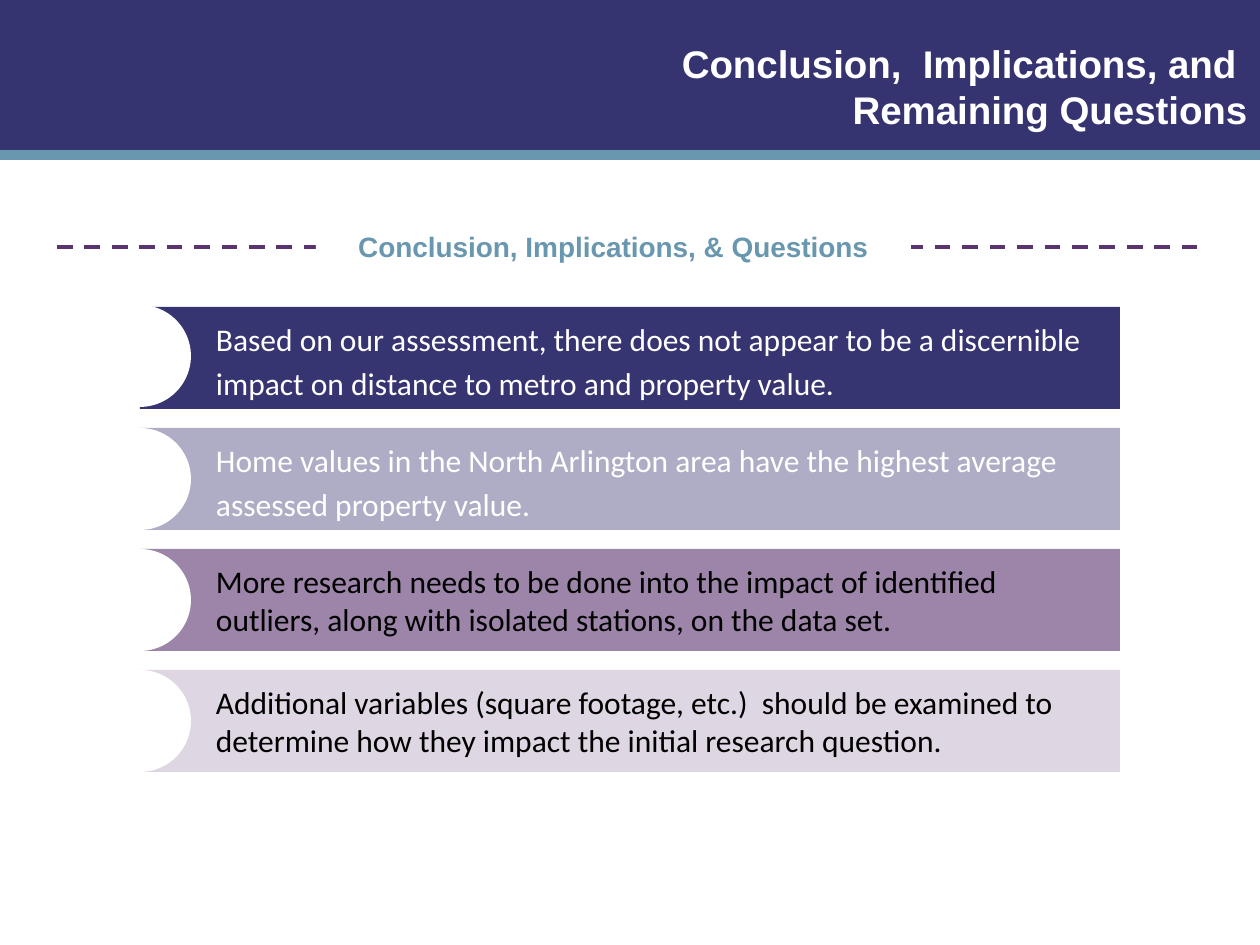
from lxml import etree
from pptx import Presentation
from pptx.dml.color import RGBColor
from pptx.enum.dml import MSO_LINE
from pptx.enum.shapes import MSO_CONNECTOR, MSO_SHAPE
from pptx.enum.text import MSO_ANCHOR, PP_ALIGN
from pptx.oxml.ns import qn
from pptx.util import Emu, Pt

RECTANGLE, OVAL = MSO_SHAPE.RECTANGLE, MSO_SHAPE.OVAL
STRAIGHT, DASH = MSO_CONNECTOR.STRAIGHT, MSO_LINE.DASH
TOP, MIDDLE = MSO_ANCHOR.TOP, MSO_ANCHOR.MIDDLE
LEFT, CENTER, RIGHT = PP_ALIGN.LEFT, PP_ALIGN.CENTER, PP_ALIGN.RIGHT

PX_PER_INCH = 126
COLORS = {
    "navy": "363371",
    "indigo": "373472",
    "plum": "5A3471",
    "dash": "593470",
    "teal": "6997AF",
    "white": "FFFFFF",
    "black": "000000",
}
TITLE = ["Conclusion,  Implications, and ", "Remaining Questions"]
SUBTITLE = "Conclusion, Implications, & Questions"
# text, fill, opacity in percent, text colour, line spacing
FINDINGS = [
    ("Based on our assessment, there does not appear to be a discernible "
     "impact on distance to metro and property value.",
     "indigo", 100, "white", 1.15),
    ("Home values in the North Arlington area have the highest average "
     "assessed property value.",
     "indigo", 40, "white", 1.15),
    ("More research needs to be done into the impact of identified outliers, "
     "along with isolated stations, on the data set.",
     "plum", 60, "black", 1.0),
    ("Additional variables (square footage, etc.)  should be examined to "
     "determine how they impact the initial research question.",
     "plum", 20, "black", 1.0),
]


def px(length):
    return Emu(round(length * 914400 / PX_PER_INCH))


def rgb(name):
    return RGBColor.from_string(COLORS[name])


def add_filled(page, kind, box, color, opacity=100):
    shape = page.shapes.add_shape(kind, *map(px, box))
    shape.shadow.inherit = False
    shape.fill.solid()
    shape.fill.fore_color.rgb = rgb(color)
    shape.line.fill.background()
    if opacity < 100:
        fill_color = shape.fill._xPr.find(".//" + qn("a:srgbClr"))
        etree.SubElement(fill_color, qn("a:alpha"), val=str(opacity * 1000))
    return shape


def add_rule(page, left, right, y, color, width, dash=None):
    rule = page.shapes.add_connector(STRAIGHT, px(left), px(y), px(right), px(y))
    rule.line.color.rgb = rgb(color)
    rule.line.width = Pt(width)
    if dash is not None:
        rule.line.dash_style = dash
    etree.SubElement(rule._element.spPr, qn("a:effectLst"))


def write(shape, lines, font, size, color, align=LEFT, anchor=TOP,
          bold=False, spacing=1.0):
    frame = shape.text_frame
    frame.word_wrap = True
    frame.vertical_anchor = anchor
    frame.text = "\n".join(lines)
    for para in frame.paragraphs:
        para.alignment = align
        para.line_spacing = spacing
        para.font.name = font
        para.font.size = Pt(size)
        para.font.bold = bold
        para.font.color.rgb = rgb(color)


def add_header(page, left, top, width, height):
    add_filled(page, RECTANGLE, (left, top, width, height), "navy")
    title_left = left + 415
    box = page.shapes.add_textbox(
        px(title_left), px(top + 34), px(left + width - title_left), px(106))
    write(box, TITLE, "Arial", 22, "white", align=RIGHT, bold=True)
    add_rule(page, left, left + width, top + height, "teal", 6)


def add_subtitle(page, left, top, width, height):
    """Heading on a white label that interrupts a dashed rule."""
    add_rule(page, left, left + width, top + 24, "dash", 2.25, DASH)
    label = add_filled(page, RECTANGLE, (left + 259, top, 595, height), "white")
    write(label, [SUBTITLE], "Arial", 16, "teal", align=CENTER, bold=True)


def add_findings(page, left, top, width, height):
    """Evenly spaced bars, each notched on the left by a white circle."""
    bar_height = 102
    pitch = (height - bar_height) / (len(FINDINGS) - 1)
    for index, (text, fill, opacity, color, spacing) in enumerate(FINDINGS):
        y = top + index * pitch
        bar = add_filled(page, RECTANGLE, (left, y, width, bar_height), fill, opacity)
        bar.text_frame.margin_left = px(76)
        write(bar, [text], "Calibri", 18, color, anchor=MIDDLE, spacing=spacing)
        circle_top = y - 2 if index == 0 else y
        add_filled(page, OVAL,
                   (left - bar_height // 2, circle_top, bar_height, bar_height), "white")


def main():
    deck = Presentation()
    deck.slide_width, deck.slide_height = px(1260), px(945)
    page = deck.slides.add_slide(deck.slide_layouts[6])
    add_header(page, 0, 0, 1260, 155)
    add_subtitle(page, 57, 223, 1146, 47)
    add_findings(page, 140, 307, 980, 465)
    deck.save("out.pptx")


if __name__ == "__main__":
    main()
